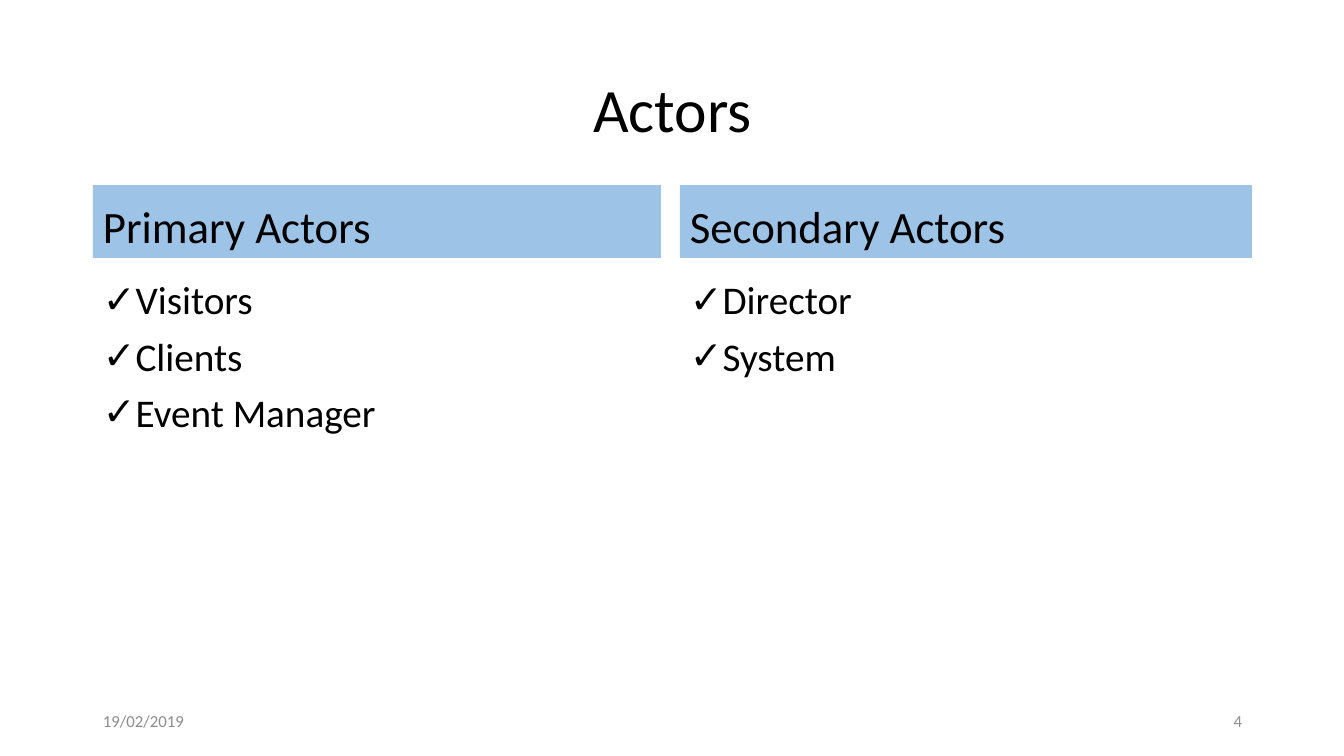
from lxml import etree
from pptx import Presentation
from pptx.dml.color import RGBColor
from pptx.enum.shapes import MSO_SHAPE
from pptx.enum.text import MSO_ANCHOR, PP_ALIGN
from pptx.oxml.ns import qn
from pptx.util import Emu, Pt

BLACK = RGBColor(0x00, 0x00, 0x00)
GRAY = RGBColor(0x8C, 0x8C, 0x8C)
BLUE = RGBColor(0x9D, 0xC3, 0xE6)
RECT = MSO_SHAPE.RECTANGLE
TOP, MID, LOW = MSO_ANCHOR.TOP, MSO_ANCHOR.MIDDLE, MSO_ANCHOR.BOTTOM
LEFT, CENTER, RIGHT = PP_ALIGN.LEFT, PP_ALIGN.CENTER, PP_ALIGN.RIGHT


def px(n):
    return Emu(round(n * 914400 / 100.8))


class Deck:
    font = "Calibri"
    indent = 25

    def __init__(self, wide, high):
        self.prs = Presentation()
        self.prs.slide_width, self.prs.slide_height = px(wide), px(high)
        self.slide = self.prs.slides.add_slide(self.prs.slide_layouts[6])

    def fill_in(self, shape, lines, size, color=BLACK, align=LEFT,
                anchor=MID, space=1.0, before=0, mark=None):
        frame = shape.text_frame
        frame.word_wrap = True
        frame.vertical_anchor = anchor
        for i, line in enumerate(lines):
            para = frame.paragraphs[0] if i == 0 else frame.add_paragraph()
            para.alignment = align
            para.line_spacing = space
            para.space_before = Pt(before)
            if mark:
                self.bullet(para, mark)
            run = para.add_run()
            run.text = line
            run.font.name = self.font
            run.font.size = Pt(size)
            run.font.color.rgb = color

    def bullet(self, para, mark):
        props = para._p.get_or_add_pPr()
        props.set("marL", str(px(self.indent)))
        props.set("indent", str(-px(self.indent)))
        etree.SubElement(props, qn("a:buFont")).set("typeface", self.font)
        etree.SubElement(props, qn("a:buChar")).set("char", mark)

    def text(self, box, lines, size, **style):
        shape = self.slide.shapes.add_textbox(*map(px, box))
        self.fill_in(shape, lines, size, **style)

    def band(self, box, label, size, **style):
        shape = self.slide.shapes.add_shape(RECT, *map(px, box))
        shape.shadow.inherit = False
        shape.fill.solid()
        shape.fill.fore_color.rgb = BLUE
        shape.line.fill.background()
        self.fill_in(shape, [label], size, **style)


def main():
    deck = Deck(1344, 756)

    # Title
    deck.text((93, 40, 1159, 146), ["Actors"], 44, align=CENTER, space=0.9)

    # Actor columns: heading band and checked list
    columns = [
        (93, 568, "Primary Actors", ["Visitors", "Clients", "Event Manager"]),
        (680, 572, "Secondary Actors", ["Director", "System"]),
    ]
    for left, wide, head, actors in columns:
        deck.band((left, 185, wide, 73), head, 32,
                  anchor=LOW, space=0.9, before=10)
        deck.text((left, 276, wide, 406), actors, 28,
                  anchor=TOP, space=0.9, before=10, mark="✓")

    # Footer: date and slide number
    for left, label, align in [(93, "19/02/2019", LEFT), (950, "4", RIGHT)]:
        deck.text((left, 701, 302, 40), [label], 12, color=GRAY, align=align)

    deck.prs.save("out.pptx")


if __name__ == "__main__":
    main()
